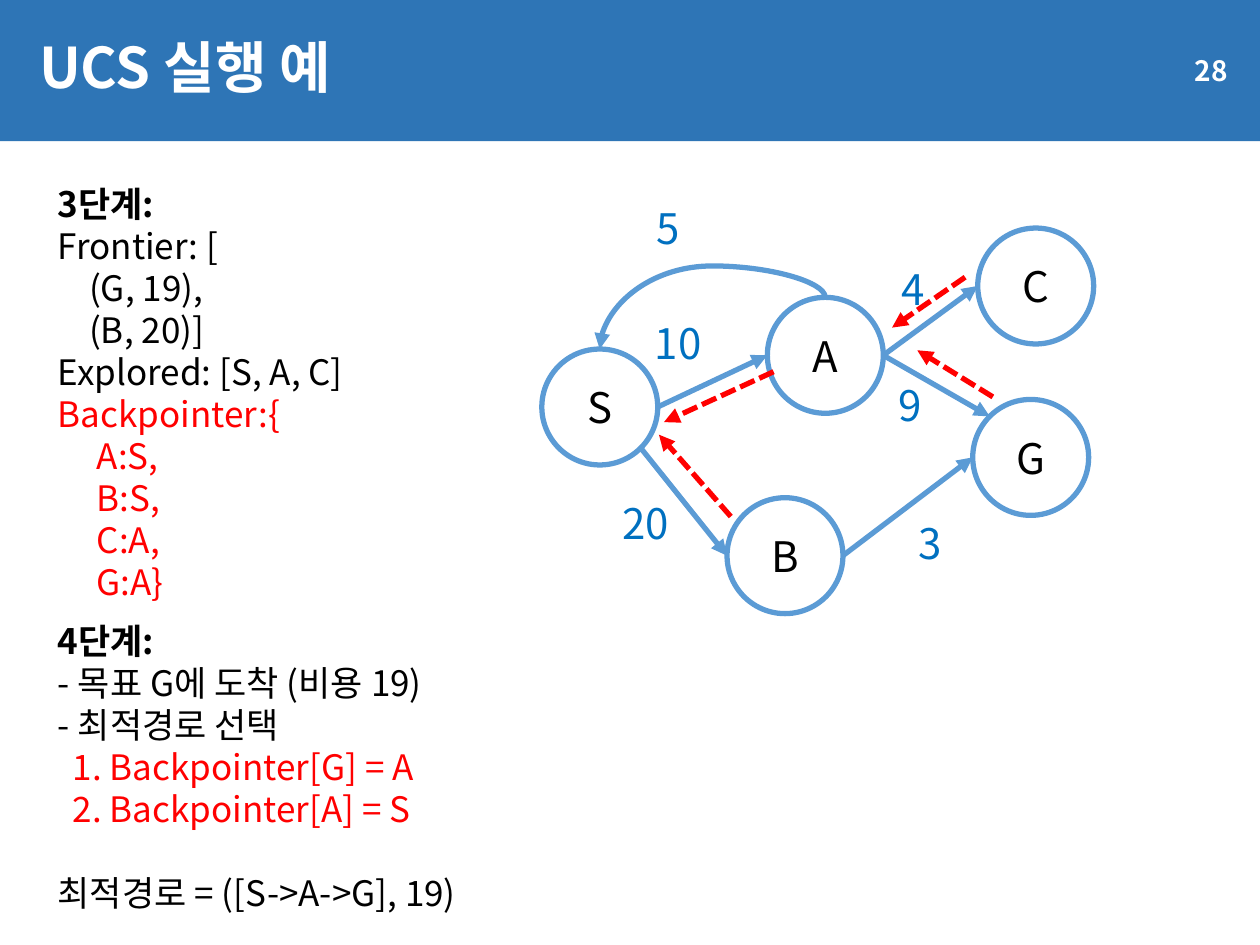
import math
import pptx
import pptx.util
import pptx.dml.color
import pptx.enum.dml
import pptx.enum.shapes
import pptx.enum.text
import pptx.oxml
import pptx.oxml.ns

Inches = pptx.util.Inches
Pt = pptx.util.Pt
Kind = pptx.enum.shapes.MSO_SHAPE
Link = pptx.enum.shapes.MSO_CONNECTOR
Align = pptx.enum.text.PP_ALIGN
Anchor = pptx.enum.text.MSO_ANCHOR
Fit = pptx.enum.text.MSO_AUTO_SIZE

FONT = "Noto Sans CJK KR"
BAR, BLUE, LABEL = "2E75B6", "5B9BD5", "0070C0"
RED, BLACK, WHITE = "FF0000", "000000", "FFFFFF"
SIZE = 0.92  # node diameter


def color(text):
    return pptx.dml.color.RGBColor.from_string(text)


def child(parent, tag, **attrs):
    item = pptx.oxml.parse_xml(f"<{tag} {pptx.oxml.ns.nsdecls('a')}/>")
    for key, value in attrs.items():
        item.set(key, value)
    parent.append(item)
    return item


def style(target, values):
    for key, value in values.items():
        setattr(target, key, value)


def write(par, text, size, tint, bold=False):
    run = par.add_run()
    run.text = text
    style(run.font, {"name": FONT, "size": Pt(size), "bold": bold})
    run.font.color.rgb = color(tint)
    child(run.font._element, "a:ea", typeface=FONT)


def paint(shape, fill, line=None):
    shape.shadow.inherit = False
    shape.fill.solid()
    shape.fill.fore_color.rgb = color(fill)
    if line:
        shape.line.color.rgb = color(line)
        shape.line.width = Pt(3)
    else:
        shape.line.fill.background()


def textbox(slide, box):
    frame = slide.shapes.add_textbox(*map(Inches, box)).text_frame
    style(frame, {"word_wrap": False, "auto_size": Fit.SHAPE_TO_FIT_TEXT})
    return frame


def header(slide, box, title, number):
    left, top, width, height = box
    # Bar behind the title
    bar = slide.shapes.add_shape(Kind.RECTANGLE, *map(Inches, box))
    paint(bar, BAR)
    slide.shapes._spTree.insert(2, bar._element)
    # Title
    head = slide.shapes.title
    style(head, {"left": Inches(left + 0.21), "top": Inches(top + 0.13),
                 "width": Inches(width - 0.38), "height": Inches(0.85)})
    head.fill.solid()
    head.fill.fore_color.rgb = color(BAR)
    style(head.text_frame, {"vertical_anchor": Anchor.MIDDLE,
                            "auto_size": Fit.NONE, "word_wrap": True})
    par = head.text_frame.paragraphs[0]
    style(par, {"alignment": Align.LEFT, "line_spacing": 0.9})
    write(par, title, 32, WHITE, True)
    # Page number
    page = slide.shapes.add_textbox(Inches(left + width - 1.51),
                                    Inches(top + 0.36), Inches(1.35), Inches(0.4))
    style(page.text_frame, {"vertical_anchor": Anchor.MIDDLE, "word_wrap": True})
    par = page.text_frame.paragraphs[0]
    par.alignment = Align.RIGHT
    write(par, number, 16, WHITE, True)


def steps(slide, box, lines):
    frame = textbox(slide, box)
    for i, (text, tint, indent, gap) in enumerate(lines):
        par = frame.add_paragraph() if i else frame.paragraphs[0]
        if indent:
            props = par._p.get_or_add_pPr()
            props.set("marL", str(Inches(indent)))
            props.set("indent", "0")
        if gap:
            par.space_before = Pt(gap)
        write(par, text, 20, tint, bold=i == 0)


def arrow(slide, start, end, tint, dash=False, kind=Link.STRAIGHT):
    line = slide.shapes.add_connector(kind, *map(Inches, (*start, *end)))
    line.line.color.rgb = color(tint)
    line.line.width = Pt(3)
    if dash:
        line.line.dash_style = pptx.enum.dml.MSO_LINE.SQUARE_DOT
    child(line.line._get_or_add_ln(), "a:tailEnd", type="triangle")
    child(line._element.spPr, "a:effectLst")
    return line


def arc(slide, start, end, bend):
    """Curve from top to top: a level S-curve given a quarter turn."""
    (x1, y1), (x2, y2) = start, end
    midx, midy = (x1 + x2) / 2, (y1 + y2) / 2
    halfx, halfy = abs(y2 - y1) / 2, abs(x2 - x1) / 2
    line = arrow(slide, (midx + halfx, midy + halfy),
                 (midx - halfx, midy - halfy), BLUE, kind=Link.CURVE)
    props = line._element.spPr
    props.find(pptx.oxml.ns.qn("a:xfrm")).set("rot", str(270 * 60000))
    shape = props.find(pptx.oxml.ns.qn("a:prstGeom"))
    for old in list(shape):
        shape.remove(old)
    child(child(shape, "a:avLst"), "a:gd", name="adj1",
          fmla=f"val {round(-bend / (2 * halfx) * 100000)}")


def graph(slide, box, nodes, edges, backs, labels):
    left, top = box

    def place(point):
        return left + point[0], top + point[1]

    def rim(name, angle):
        x, y = place(nodes[name])
        turn = math.radians(angle)
        return x + SIZE / 2 * math.cos(turn), y + SIZE / 2 * math.sin(turn)

    # Nodes
    for name, point in nodes.items():
        x, y = place(point)
        node = slide.shapes.add_shape(
            Kind.OVAL, *map(Inches, (x - SIZE / 2, y - SIZE / 2, SIZE, SIZE)))
        paint(node, WHITE, BLUE)
        frame = node.text_frame
        style(frame, {"margin_left": 0, "margin_right": 0, "margin_top": 0,
                      "margin_bottom": 0, "vertical_anchor": Anchor.MIDDLE})
        frame.paragraphs[0].alignment = Align.CENTER
        write(frame.paragraphs[0], name, 24, BLACK)
    # Edges
    for tail, out, head, into in edges:
        arrow(slide, rim(tail, out), rim(head, into), BLUE)
    arc(slide, rim("A", 270), rim("S", 270), 0.25)
    # Back pointers
    for start, end in backs:
        arrow(slide, place(start), place(end), RED, dash=True)
    # Costs
    for text, x, y, width in labels:
        frame = textbox(slide, (*place((x, y)), width, 0.5))
        write(frame.paragraphs[0], text, 24, LABEL)


def main():
    deck = pptx.Presentation()
    style(deck, {"slide_width": Inches(10), "slide_height": Inches(7.5)})
    slide = deck.slides.add_slide(deck.slide_layouts[5])
    header(slide, (0, 0, 10, 1.12), "UCS 실행 예", "28")
    # Text, colour, indent, space before
    steps(slide, (0.36, 1.4, 2.47, 3.47), [
        ("3단계:", BLACK, 0, 0),
        ("Frontier: [", BLACK, 0, 0),
        ("(G, 19),", BLACK, 0.25, 0),
        ("(B, 20)]", BLACK, 0.25, 0),
        ("Explored: [S, A, C]", BLACK, 0, 0),
        ("Backpointer:{", RED, 0, 0),
        *[(text, RED, 0.31, 0) for text in ("A:S,", "B:S,", "C:A,", "G:A}")]])
    steps(slide, (0.36, 4.87, 3.69, 2.46), [
        ("4단계:", BLACK, 0, 0),
        ("- 목표 G에 도착 (비용 19)", BLACK, 0, 0),
        ("- 최적경로 선택", BLACK, 0, 0),
        ("1. Backpointer[G] = A", RED, 0.12, 0),
        ("2. Backpointer[A] = S", RED, 0.12, 0),
        ("최적경로 = ([S->A->G], 19)", BLACK, 0, 24)])
    graph(slide, (4.3, 1.5),
          nodes={"S": (0.46, 1.73), "A": (2.25, 1.32), "B": (1.93, 2.91),
                 "G": (3.88, 2.13), "C": (3.92, 0.77)},
          # Tail, angle out, head, angle in
          edges=[("S", 45, "B", 180), ("S", 0, "A", 180), ("A", 0, "G", 225),
                 ("B", 0, "G", 180), ("A", 0, "C", 180)],
          backs=[((1.84, 1.45), (0.97, 1.85)), ((3.36, 0.7), (2.78, 1.1)),
                 ((3.58, 1.65), (2.98, 1.28)), ((1.5, 2.6), (0.93, 1.95))],
          labels=[("9", 2.73, 1.46, 0.39), ("10", 0.8, 0.97, 0.57),
                  ("20", 0.54, 2.4, 0.57), ("4", 2.76, 0.54, 0.37),
                  ("5", 0.81, 0.06, 0.37), ("3", 2.89, 2.56, 0.39)])
    deck.save("out.pptx")


if __name__ == "__main__":
    main()
